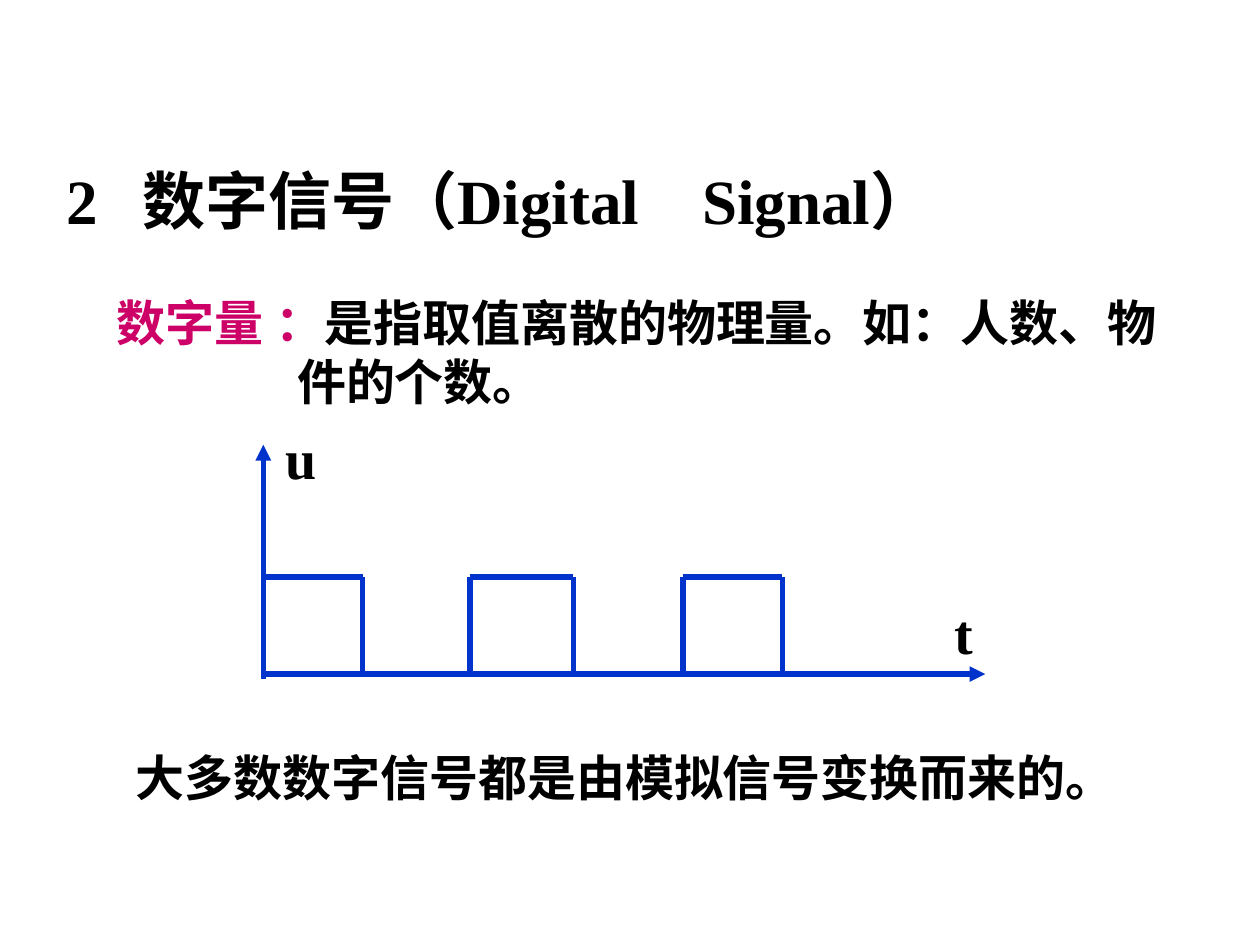
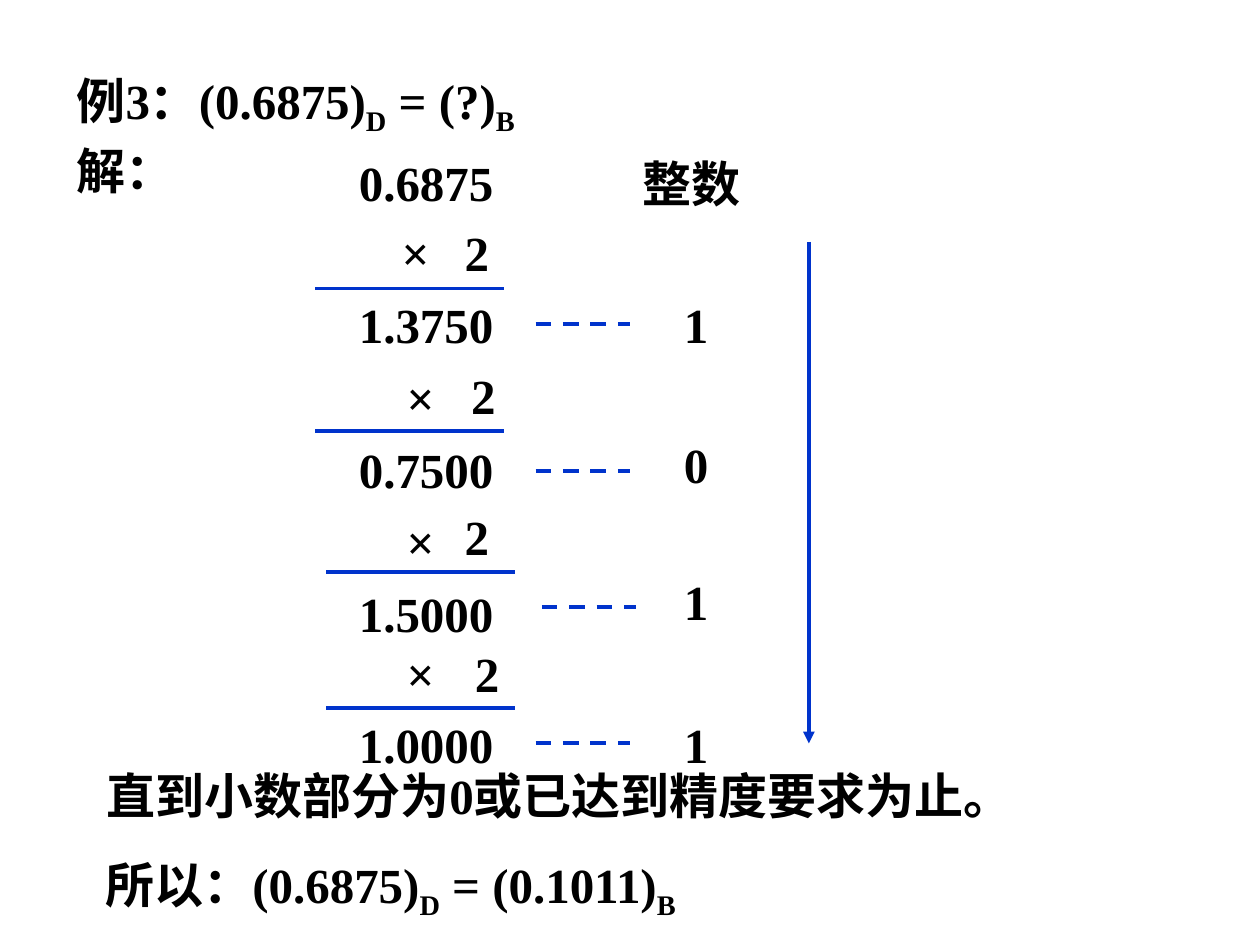
from pptx import Presentation
from pptx import util as u
from pptx.dml.color import RGBColor
from pptx.enum import dml, lang, shapes, text
from pptx.oxml.ns import qn
from lxml import etree

BLACK = RGBColor(0x00, 0x00, 0x00)
BLUE = RGBColor(0x00, 0x33, 0xCC)
PINK = RGBColor(0xCC, 0x00, 0x66)
FONT = "Times New Roman"
BODY, AXIS, TITLE = 28, 32, 36
LINE_HEIGHT = {BODY: 5.7, AXIS: 6.4, TITLE: 7}

deck = Presentation()
deck.slide_width, deck.slide_height = u.Inches(10), u.Inches(7.5)
COLUMN = deck.slide_width // 100
ROW = deck.slide_height // 75
BLANK = deck.slide_layouts[6]


def write(page, content, left, top, width, size=BODY, color=BLACK):
    """Add a text box; a newline starts a paragraph and a bar starts a span."""
    lines = content.split("\n")
    height = LINE_HEIGHT[size] * len(lines)
    box = page.shapes.add_textbox(
        round(left * COLUMN), round(top * ROW), round(width * COLUMN), round(height * ROW))
    frame = box.text_frame
    frame.word_wrap = True
    frame.auto_size = text.MSO_AUTO_SIZE.SHAPE_TO_FIT_TEXT
    for number, line in enumerate(lines):
        para = frame.add_paragraph() if number else frame.paragraphs[0]
        for piece in line.split("|"):
            span = para.add_run()
            span.text = piece
            span.font.name = FONT
            span.font.size = u.Pt(size)
            span.font.bold = True
            span.font.color.rgb = color
            span.font.language_id = lang.MSO_LANGUAGE_ID.SIMPLIFIED_CHINESE
    return frame.paragraphs


def draw_line(page, left, top, right, bottom, weight, arrow=False, dashed=False):
    line = page.shapes.add_connector(
        shapes.MSO_CONNECTOR.STRAIGHT, round(left * COLUMN), round(top * ROW),
        round(right * COLUMN), round(bottom * ROW))
    line.line.color.rgb = BLUE
    line.line.width = u.Pt(weight)
    if dashed:
        line.line.dash_style = dml.MSO_LINE.DASH
    if arrow:
        etree.SubElement(line.line._get_or_add_ln(), qn("a:tailEnd"), type="triangle")
    etree.SubElement(line._element.spPr, qn("a:effectLst"))


# Slide 1: digital signal
page = deck.slides.add_slide(BLANK)
heading = write(page, "2\t数字信号（Digital　Signal）", 4.3, 12.3, 92.9, TITLE)[0]
tabs = etree.SubElement(heading._p.get_or_add_pPr(), qn("a:tabLst"))
etree.SubElement(tabs, qn("a:tab"), pos=str(6 * COLUMN), algn="l")

write(page, "数字量", 8.3, 22.7, 16.5, color=PINK)
definition = write(page, "：|是指取值离散的物理量。如：人数、物\n件的个数。", 20.9, 22.7, 74)
definition[0].runs[0].font.color.rgb = PINK
definition[1]._p.get_or_add_pPr().set("marL", str(round(1.7 * COLUMN)))
write(page, "大多数数字信号都是由模拟信号变换而来的。", 9.8, 58.8, 82.7)

ORIGIN, BASE, PULSE_TOP = 20.9, 53.5, 45.8
draw_line(page, ORIGIN, 53.9, ORIGIN, 35.3, 3, arrow=True)
draw_line(page, ORIGIN, BASE, 78.2, BASE, 3, arrow=True)
write(page, "t", 74.8, 47, 9.2, AXIS)
write(page, "u", 21.7, 33.1, 7.5, AXIS)
for rise, fall in ((ORIGIN, 28.8), (37.3, 45.5), (54.2, 62.1)):
    for edge in (rise, fall):
        draw_line(page, edge, 53.7, edge, PULSE_TOP, 3)
    draw_line(page, rise, PULSE_TOP, fall, PULSE_TOP, 3)

# Slide 2: decimal fraction to binary
page = deck.slides.add_slide(BLANK)
write(page, "解：", 5.1, 10.7, 16.7)
write(page, "0.6875", 27.5, 11.6, 15)
write(page, "整数", 50, 11.7, 10)

# (left, top) of sign, factor, rule and dash; then product and digit with their tops
steps = (
    ((30.9, 17.2), (35.9, 17.2), (25, 22.9), (42.5, 25.7), ("1.3750", 22.9), ("1", 22.9)),
    ((31.3, 28.7), (36.4, 28.5), (25, 34.2), (42.5, 37.4), ("0.7500", 34.4), ("0", 34)),
    ((31.3, 40.1), (35.9, 39.7), (25.9, 45.4), (43, 48.2), ("1.5000", 45.8), ("1", 44.9)),
    ((31.3, 50.6), (36.7, 50.6), (25.9, 56.2), (42.5, 59), ("1.0000", 56.2), ("1", 56.2)),
)
for sign, factor, rule, dash, (product, product_top), (digit, digit_top) in steps:
    write(page, "×", *sign, 4.3)
    write(page, "2", *factor, 6.6)
    draw_line(page, *rule, rule[0] + 15, rule[1], 2.25)
    write(page, product, 27.5, product_top, 15)
    draw_line(page, *dash, dash[0] + 7.5, dash[1], 2.25, dashed=True)
    write(page, digit, 53.3, digit_top, 6.7)
draw_line(page, 64.2, 19.2, 64.2, 59, 2.25, arrow=True)

write(page, "直到小数部分为0或已达到精度要求为止。", 7.5, 60.3, 85)
for equation, left, top in (("例3：(0.6875)|D| = (?)|B", 5.1, 5.1),
                            ("所以：(0.6875)|D| = (0.1011)|B", 7.4, 67.3)):
    for base in write(page, equation, left, top, 84.7)[0].runs[1::2]:
        base._r.get_or_add_rPr().set("baseline", "-25000")

deck.save("out.pptx")
